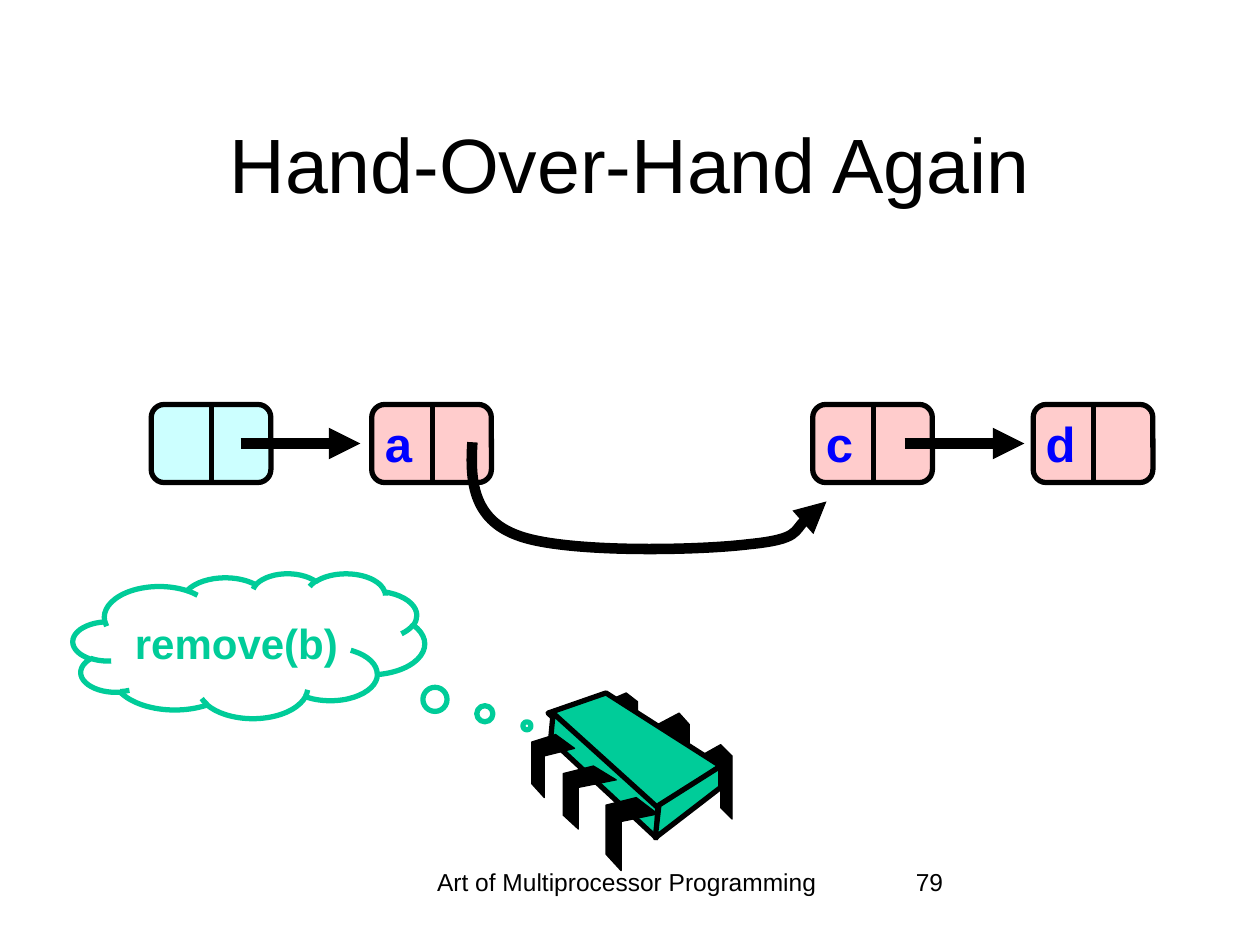
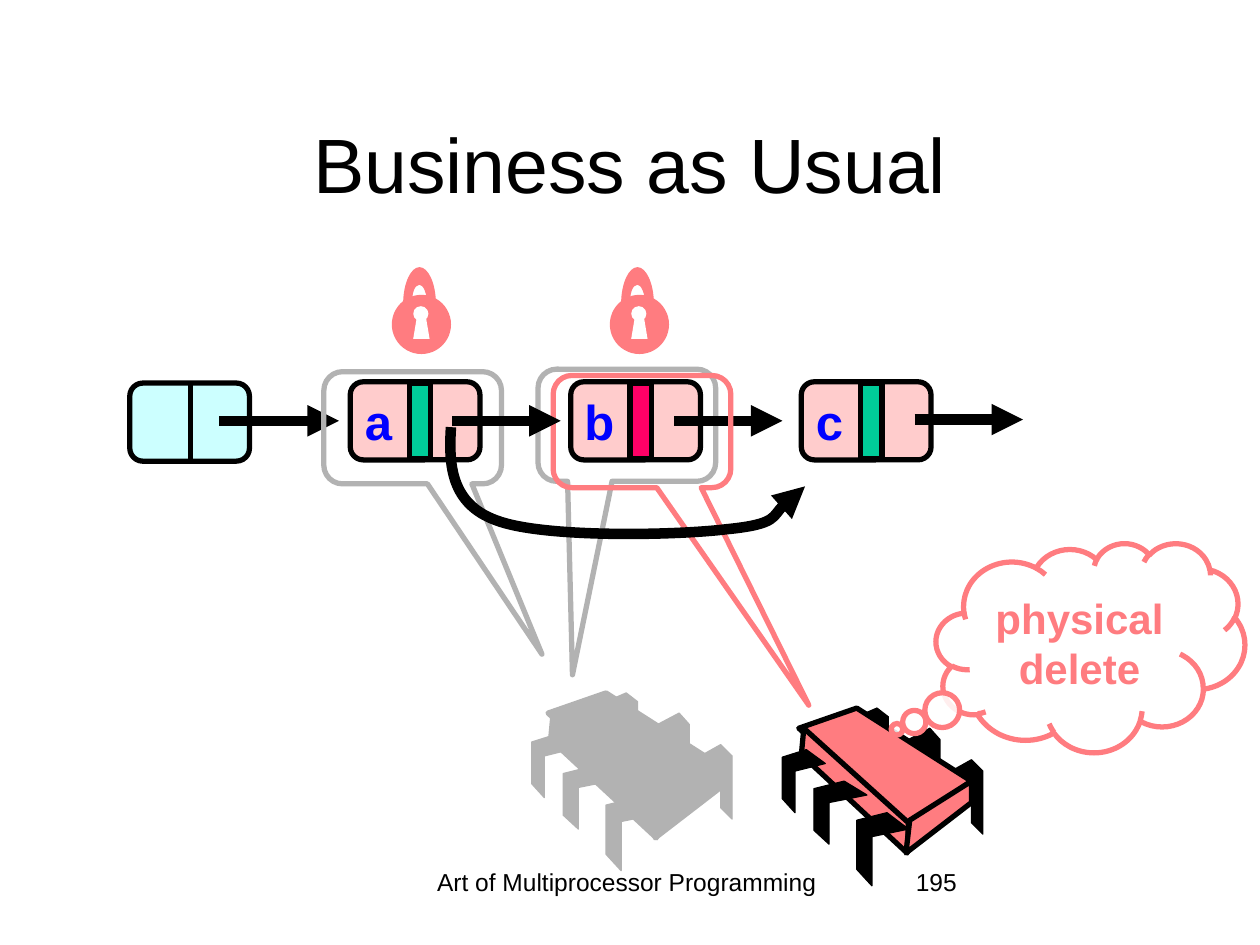
"""Builds two slides on removing a node from a lock-based linked list."""
from lxml.etree import SubElement
from pptx import Presentation
from pptx.dml.color import RGBColor
from pptx.enum.shapes import MSO_CONNECTOR as Link, MSO_SHAPE as Preset
from pptx.enum.text import MSO_ANCHOR as Anchor, MSO_AUTO_SIZE as Fit, PP_ALIGN as Align
from pptx.oxml.ns import qn
from pptx.util import Emu, Pt

PX = 9144
FONT = "Arial"
TITLE_ONLY = 5
COLORS = {
    "ink": "000000", "paper": "FFFFFF", "label": "0000FF", "head": "CCFFFF", "node": "FFCCCC",
    "green": "00CC99", "marked": "FF0066", "gray": "B2B2B2", "red": "FF7C80",
}
TITLE_BOX = (75, 67, 850, 125)
FOOTER_BOX = (310, 683, 375, 50)
NUMBER_BOX = (717, 683, 208, 50)
NODE_HEIGHT = 62
NODE_WIDTH = 95
MARKED_WIDTH = 103
LABEL_WIDTH = 42

BACK_LEGS = [
    [(134, 50), (150, 41), (159, 50), (159, 100), (150, 91), (150, 58), (134, 66)],
    [(100, 25), (117, 16), (125, 25), (125, 75), (117, 66), (117, 33), (100, 41)],
    [(59, 7), (75, 0), (84, 7), (84, 50), (75, 43), (75, 14), (59, 21)],
]
CHIP_FACES = [
    [(59, 0), (150, 58), (99, 93), (13, 16)],
    [(17, 16), (100, 91), (99, 115), (15, 37)],
    [(150, 58), (150, 75), (98, 115), (101, 89)],
]
FRONT_LEGS = [
    [(83, 83), (100, 96), (71, 102), (71, 141), (59, 128), (59, 89)],
    [(49, 58), (67, 69), (37, 75), (37, 108), (25, 97), (25, 64)],
    [(19, 33), (34, 44), (10, 50), (10, 83), (0, 72), (0, 39)],
]
KEYHOLE = [(17, 57), (20, 39), (27, 39), (30, 57)]
SHACKLE = [(16, 29), (16, 21), (18, 14), (22, 14), (25, 14), (28, 21), (28, 29),
           (35, 29), (35, 13), (29, 0), (22, 0), (15, 0), (9, 13), (9, 29)]
SHACKLE_CURVES = (0, 3, 7, 10)
BYPASS = [(2, 0), (0, 30), (2, 61), (38, 74), (75, 88), (180, 86), (221, 81),
          (262, 77), (270, 54), (283, 47)]
BYPASS_CURVES = (0, 3, 6)


def emu(*lengths):
    """Turn px lengths into EMU."""
    return [Emu(length * PX) for length in lengths]


def rgb(name):
    """Look up a named colour."""
    return RGBColor.from_string(COLORS[name])


def paint(shape, fill=None, line=None, width=3):
    """Set the fill and line of a shape and remove its shadow."""
    shape.shadow.inherit = False
    if fill:
        shape.fill.solid()
        shape.fill.fore_color.rgb = rgb(fill)
    else:
        shape.fill.background()
    if line:
        shape.line.color.rgb = rgb(line)
        shape.line.width = Pt(width)
    else:
        shape.line.fill.background()
    return shape


def write(frame, text, size, color="ink", bold=False, align=Align.LEFT):
    """Write one styled run into a text frame."""
    para = frame.paragraphs[0]
    para.alignment = align
    span = para.add_run()
    span.text = text
    span.font.name = FONT
    span.font.size = Pt(size)
    span.font.bold = bold
    span.font.color.rgb = rgb(color)


def add_text(shapes, box, text, size, wrap=True, **style):
    """Add a text box."""
    frame = shapes.add_textbox(*emu(*box)).text_frame
    frame.word_wrap = wrap
    frame.auto_size = Fit.NONE if wrap else Fit.SHAPE_TO_FIT_TEXT
    write(frame, text, size, **style)


def add_preset(shapes, preset, box, adjustments=(), **look):
    """Add a painted preset shape."""
    shape = shapes.add_shape(preset, *emu(*box))
    for index, value in enumerate(adjustments):
        shape.adjustments[index] = value
    return paint(shape, **look)


def add_outline(shapes, origin, points, curves=(), close=True, **look):
    """Add a freeform whose segments at the given indexes are cubic curves."""
    left, top = origin
    start, *rest = [(left + x, top + y) for x, y in points]
    builder = shapes.build_freeform(*start, scale=PX)
    builder.add_line_segments(rest, close=close)
    shape = builder.convert_to_shape()
    segments = shape._element.xpath(".//a:lnTo")
    for first in curves:
        anchor, *others = segments[first:first + 3]
        anchor.tag = qn("a:cubicBezTo")
        for segment in others:
            anchor.append(segment[0])
            segment.getparent().remove(segment)
    return paint(shape, **look)


def add_arrowhead(shape):
    """Put a triangle at the end of a line."""
    line = shape._element.spPr.find(qn("a:ln"))
    SubElement(line, qn("a:tailEnd"), type="triangle")


def add_line(shapes, start, end, width=3):
    """Add a straight black line."""
    line = shapes.add_connector(Link.STRAIGHT, *emu(*start, *end))
    line.line.color.rgb = rgb("ink")
    line.line.width = Pt(width)
    SubElement(line._element.spPr, qn("a:effectLst"))
    return line


def add_pointer(page, left, top, length):
    """Add a horizontal pointer arrow."""
    add_arrowhead(add_line(page.shapes, (left, top), (left + length, top), 6))


def add_bypass(page, left, top):
    """Add the curved pointer that skips a node."""
    add_arrowhead(add_outline(page.shapes, (left, top), BYPASS, BYPASS_CURVES,
                              close=False, line="ink", width=6))


def add_node(page, left, top, label=None, mark=None):
    """Add a list node with an optional label and mark bit."""
    shapes = page.shapes.add_group_shape().shapes
    width = MARKED_WIDTH if mark else NODE_WIDTH
    add_preset(shapes, Preset.ROUNDED_RECTANGLE, (left, top, width, NODE_HEIGHT), [0.167],
               fill="node" if label else "head", line="ink")
    divider = left + 48
    add_line(shapes, (divider, top - 1), (divider, top + NODE_HEIGHT + 1))
    if label:
        shift = 1 if mark else 0
        add_text(shapes, (left + shift, top + 2 + shift, LABEL_WIDTH, 57), label, 28, wrap=False,
                 color="label", bold=True, align=Align.RIGHT)
    if mark:
        add_preset(shapes, Preset.RECTANGLE, (left + 47, top + 1, 17, 60), fill=mark, line="ink")


def add_chip(page, left, top, body, edge="ink"):
    """Add a processor chip standing for a thread."""
    shapes = page.shapes.add_group_shape().shapes
    for outlines, fill, width in ((BACK_LEGS, edge, 0.75), (CHIP_FACES, body, 3),
                                  (FRONT_LEGS, edge, 0.75)):
        for points in outlines:
            add_outline(shapes, (left, top), points, fill=fill, line=edge, width=width)


def add_lock(page, left, top):
    """Add a closed padlock."""
    shapes = page.shapes.add_group_shape().shapes
    add_preset(shapes, Preset.OVAL, (left, top + 22, 47, 47), fill="red")
    add_preset(shapes, Preset.OVAL, (left + 17, top + 31, 12, 12), fill="paper")
    add_outline(shapes, (left, top), KEYHOLE, fill="paper")
    add_outline(shapes, (left, top), SHACKLE, SHACKLE_CURVES, fill="red")


def add_grip(page, left, top, tip, color):
    """Add a callout that shows which thread holds a node."""
    add_preset(page.shapes, Preset.ROUNDED_RECTANGULAR_CALLOUT, (left, top, 141, 89),
               [*tip, 0.167], line=color)


def add_thought(page, box, tip, text, color, fill=None):
    """Add a thought cloud."""
    cloud = add_preset(page.shapes, Preset.CLOUD_CALLOUT, box, tip, fill=fill, line=color)
    if fill:
        tint = cloud._element.spPr.find(qn("a:solidFill"))[0]
        SubElement(tint, qn("a:alpha"), val="87000")
    frame = cloud.text_frame
    frame.word_wrap = True
    frame.vertical_anchor = Anchor.MIDDLE
    write(frame, text, 24, color=color, bold=True, align=Align.CENTER)


def add_page(deck, title, number):
    """Add a slide with its title, footer and number."""
    page = deck.slides.add_slide(deck.slide_layouts[TITLE_ONLY])
    heading = page.shapes.title
    heading.left, heading.top, heading.width, heading.height = emu(*TITLE_BOX)
    heading.text_frame.vertical_anchor = Anchor.MIDDLE
    write(heading.text_frame, title, 44, align=Align.CENTER)
    add_text(page.shapes, FOOTER_BOX, "Art of Multiprocessor Programming", 14, align=Align.CENTER)
    add_text(page.shapes, NUMBER_BOX, number, 14)
    return page


def build_hand_over_hand(deck):
    """Show the list after node b is removed."""
    page = add_page(deck, "Hand-Over-Hand Again", "79")
    for left, label in ((120, None), (295, "a"), (645, "c"), (820, "d")):
        add_node(page, left, 321, label)
    for left in (191, 718):
        add_pointer(page, left, 352, 95)
    add_chip(page, 422, 550, "green")
    add_bypass(page, 373, 351)
    add_thought(page, (58, 455, 279, 115), (0.791, 0.553), "remove(b)", "green")


def build_business_as_usual(deck):
    """Show the physical delete of a marked, locked node."""
    page = add_page(deck, "Business as Usual", "195")
    add_grip(page, 427, 293, (-0.306, 2.225), "gray")
    add_node(page, 103, 304)
    add_pointer(page, 174, 334, 95)
    add_chip(page, 422, 550, "gray", "gray")
    for left, label, mark in ((278, "a", "green"), (453, "b", "marked"), (636, "c", "green")):
        add_node(page, left, 303, label, mark)
    for left, top in ((535, 334), (726, 333)):
        add_pointer(page, left, top, 86)
    add_grip(page, 257, 295, (0.728, 2.019), "gray")
    for left in (484, 311):
        add_lock(page, left, 212)
    add_grip(page, 439, 298, (0.939, 2.44), "red")
    add_chip(page, 621, 562, "red")
    add_thought(page, (743, 431, 245, 166), (-0.627, 0.391), "physical delete", "red", "paper")
    add_pointer(page, 359, 334, 86)
    add_bypass(page, 356, 339)


def main():
    """Build and save the deck."""
    deck = Presentation()
    deck.slide_width, deck.slide_height = emu(1000, 750)
    build_hand_over_hand(deck)
    build_business_as_usual(deck)
    deck.save("out.pptx")


if __name__ == "__main__":
    main()
